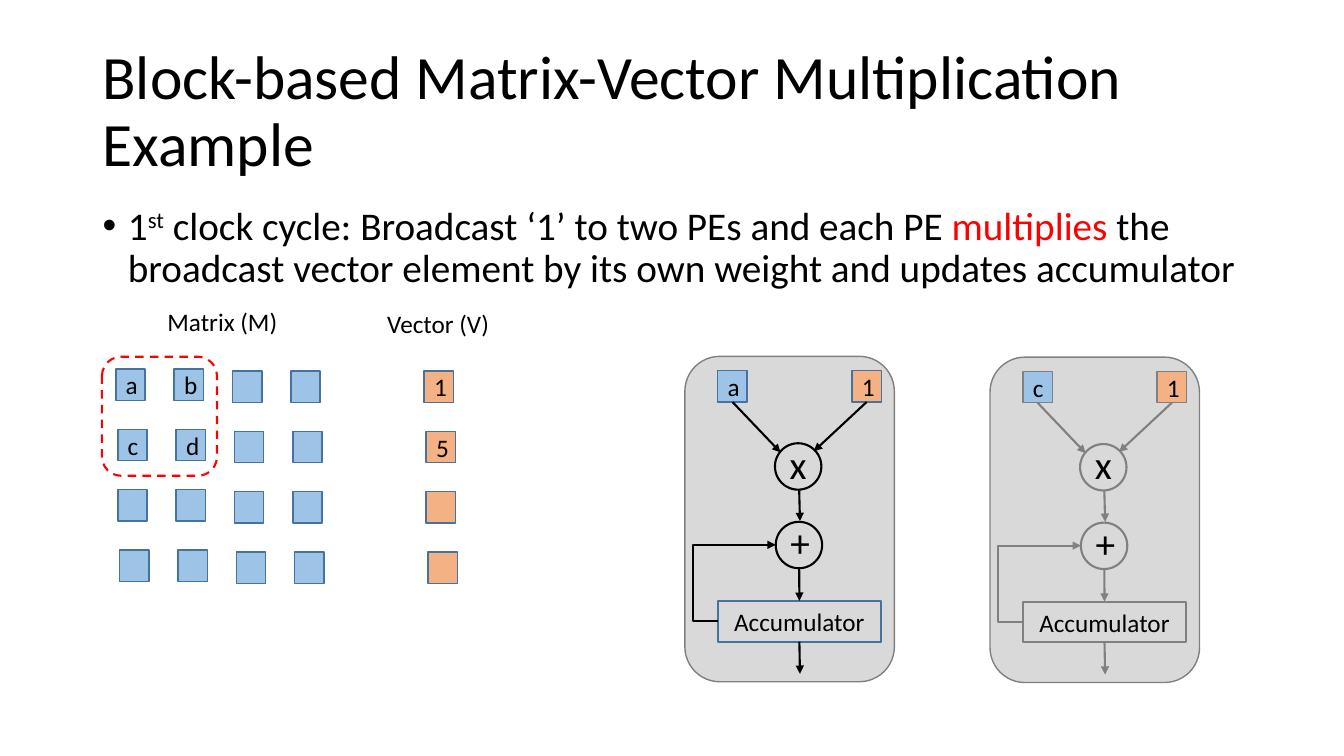
from lxml.etree import SubElement
from pptx import Presentation
from pptx.dml.color import RGBColor
from pptx.enum.dml import MSO_LINE
from pptx.enum.shapes import MSO_CONNECTOR as CONNECTOR, MSO_SHAPE as SHAPE
from pptx.enum.text import MSO_ANCHOR as ANCHOR, MSO_AUTO_SIZE as AUTO_SIZE, PP_ALIGN as ALIGN
from pptx.oxml.ns import qn
from pptx.util import Cm, Pt

BLACK = RGBColor(0x00, 0x00, 0x00)
RED = RGBColor(0xFF, 0x00, 0x00)
GRAY = RGBColor(0x80, 0x80, 0x80)
PANEL = RGBColor(0xD9, 0xD9, 0xD9)
BLUE = RGBColor(0x9D, 0xC3, 0xE6)
ORANGE = RGBColor(0xF4, 0xB1, 0x83)
OUTLINE = RGBColor(0x43, 0x73, 0x9E)
FONT = "Calibri"
CELL_SIZE = (0.74, 0.79)


def add_box(shapes, kind, left, top, width, height, fill, line, weight=1, text=""):
    """Add an outlined shape, in cm, with centred text; fill None leaves it hollow."""
    box = shapes.add_shape(kind, Cm(left), Cm(top), Cm(width), Cm(height))
    box.shadow.inherit = False
    if fill is None:
        box.fill.background()
    else:
        box.fill.solid()
        box.fill.fore_color.rgb = fill
    box.line.color.rgb = line
    box.line.width = Pt(weight)
    if text:
        box.text_frame.vertical_anchor = ANCHOR.MIDDLE
        paragraph = box.text_frame.paragraphs[0]
        paragraph.text = text
        paragraph.alignment = ALIGN.CENTER
        paragraph.font.name, paragraph.font.size = FONT, Pt(18)
        paragraph.font.color.rgb = BLACK
    return box


def add_label(shapes, text, left, top, width, height, size, wrap):
    label = shapes.add_textbox(Cm(left), Cm(top), Cm(width), Cm(height))
    label.text_frame.word_wrap = wrap
    paragraph = label.text_frame.paragraphs[0]
    paragraph.text = text
    paragraph.font.name, paragraph.font.size = FONT, Pt(size)
    paragraph.font.color.rgb = BLACK


presentation = Presentation()
presentation.slide_width = Cm(33.87)
presentation.slide_height = Cm(19.05)
slide = presentation.slides.add_slide(presentation.slide_layouts[1])

# Title and bullet
title, body = slide.placeholders
for placeholder, top, height, size, anchor in (
    (title, 1.01, 3.68, 44, ANCHOR.MIDDLE),
    (body, 5.07, 12.09, 28, ANCHOR.TOP),
):
    placeholder.left, placeholder.top = Cm(2.33), Cm(top)
    placeholder.width, placeholder.height = Cm(29.21), Cm(height)
    frame = placeholder.text_frame
    frame.auto_size = AUTO_SIZE.NONE
    frame.vertical_anchor = anchor
    paragraph = frame.paragraphs[0]
    paragraph.alignment = ALIGN.LEFT
    paragraph.line_spacing = 0.9
    paragraph.font.name, paragraph.font.size = FONT, Pt(size)
    paragraph.font.color.rgb = BLACK
title.text_frame.paragraphs[0].add_run().text = "Block-based Matrix-Vector Multiplication Example"

bullet = body.text_frame.paragraphs[0]
bullet.space_before = Pt(10)
bullet_properties = bullet._p.get_or_add_pPr()
bullet_properties.set("marL", str(Cm(0.64)))
bullet_properties.set("indent", str(-Cm(0.64)))
_, ordinal, _, keyword, _ = runs = [bullet.add_run() for _ in range(5)]
for run, text in zip(runs, (
    "1",
    "st",
    " clock cycle: Broadcast ‘1’ to two PEs and each PE ",
    "multiplies ",
    "the broadcast vector element by its own weight and updates accumulator",
)):
    run.text = text
ordinal._r.get_or_add_rPr().set("baseline", "30000")
keyword.font.color.rgb = RED

# Matrix and vector: each row drifts a little to the right
matrix = (("a", "b", "", ""), ("c", "d", "", ""), ("",) * 4, ("",) * 4)
vector = ("1", "5", "", "")
row_drift = (0, 0.05, 0.05, 0.1)
for row, (weights, element, drift) in enumerate(zip(matrix, vector, row_drift)):
    top = 9.3 + 1.52 * row
    for column, weight in enumerate(weights):
        lowered = 0.05 * (column // 2)
        add_box(slide.shapes, SHAPE.RECTANGLE, 2.92 + 1.47 * column + drift, top + lowered,
                *CELL_SIZE, BLUE, OUTLINE, text=weight)
    add_box(slide.shapes, SHAPE.RECTANGLE, 10.69 + drift, top + 0.05,
            *CELL_SIZE, ORANGE, OUTLINE, text=element)
add_label(slide.shapes, "Matrix (M)", 3.97, 7.6, 3.3, 1.03, 18, False)
add_label(slide.shapes, "Vector (V)", 9.51, 7.65, 3.1, 1.03, 18, False)

# Processing elements
for left, top, weight, box_line, flow_line in (
    (17.26, 8.98, "a", OUTLINE, BLACK),
    (24.95, 9.0, "c", GRAY, GRAY),
):
    shapes = slide.shapes.add_group_shape().shapes
    add_box(shapes, SHAPE.ROUNDED_RECTANGLE, left, top, 5.28, 8.2, PANEL, GRAY)
    for symbol, x, y in (("x", 2.27, 2.19), ("+", 2.29, 4.17)):
        add_box(shapes, SHAPE.OVAL, left + x, top + y, 1.17, 1.17, None, flow_line, 1.5)
        add_label(shapes, symbol, left + x + 0.12, top + y - 0.21, 0.91, 1.45, 28, True)
    weight_cell = add_box(shapes, SHAPE.RECTANGLE, left + 0.83, top + 0.36,
                          *CELL_SIZE, BLUE, box_line, text=weight)
    element_cell = add_box(shapes, SHAPE.RECTANGLE, left + 4.21, top + 0.36,
                           *CELL_SIZE, ORANGE, box_line, text="1")
    accumulator = add_box(shapes, SHAPE.RECTANGLE, left + 0.83, top + 6.16, 4.11, 1.03,
                          None, box_line, 1.5, "Accumulator")
    for kind, x1, y1, x2, y2, source, target in (
        (CONNECTOR.STRAIGHT, 1.2, 1.15, 2.41, 2.42, weight_cell, None),
        (CONNECTOR.STRAIGHT, 4.58, 1.15, 3.25, 2.39, element_cell, None),
        (CONNECTOR.STRAIGHT, 2.88, 3.36, 2.9, 4.15, None, None),
        (CONNECTOR.STRAIGHT, 2.88, 5.32, 2.88, 6.16, None, accumulator),
        (CONNECTOR.STRAIGHT, 2.88, 7.19, 2.9, 8.0, accumulator, None),
        (CONNECTOR.ELBOW, 0.83, 6.68, 2.29, 4.75, None, None),
    ):
        arrow = shapes.add_connector(kind, Cm(left + x1), Cm(top + y1), Cm(left + x2), Cm(top + y2))
        if source:
            arrow.begin_connect(source, 2)
        if target:
            arrow.end_connect(target, 0)
        arrow.line.color.rgb = flow_line
        arrow.line.width = Pt(1.5)
        SubElement(arrow.line._get_or_add_ln(), qn("a:tailEnd"), type="triangle")
        properties = arrow._element.spPr
        SubElement(properties, qn("a:effectLst"))
        if kind == CONNECTOR.ELBOW:
            adjustments = properties.find(qn("a:prstGeom")).find(qn("a:avLst"))
            SubElement(adjustments, qn("a:gd"), name="adj1", fmla="val -43500")

# Block being processed
block = add_box(slide.shapes, SHAPE.ROUNDED_RECTANGLE, 2.57, 8.99, 2.9, 3.0, None, RED, 1.5)
block.line.dash_style = MSO_LINE.DASH

presentation.save("out.pptx")
